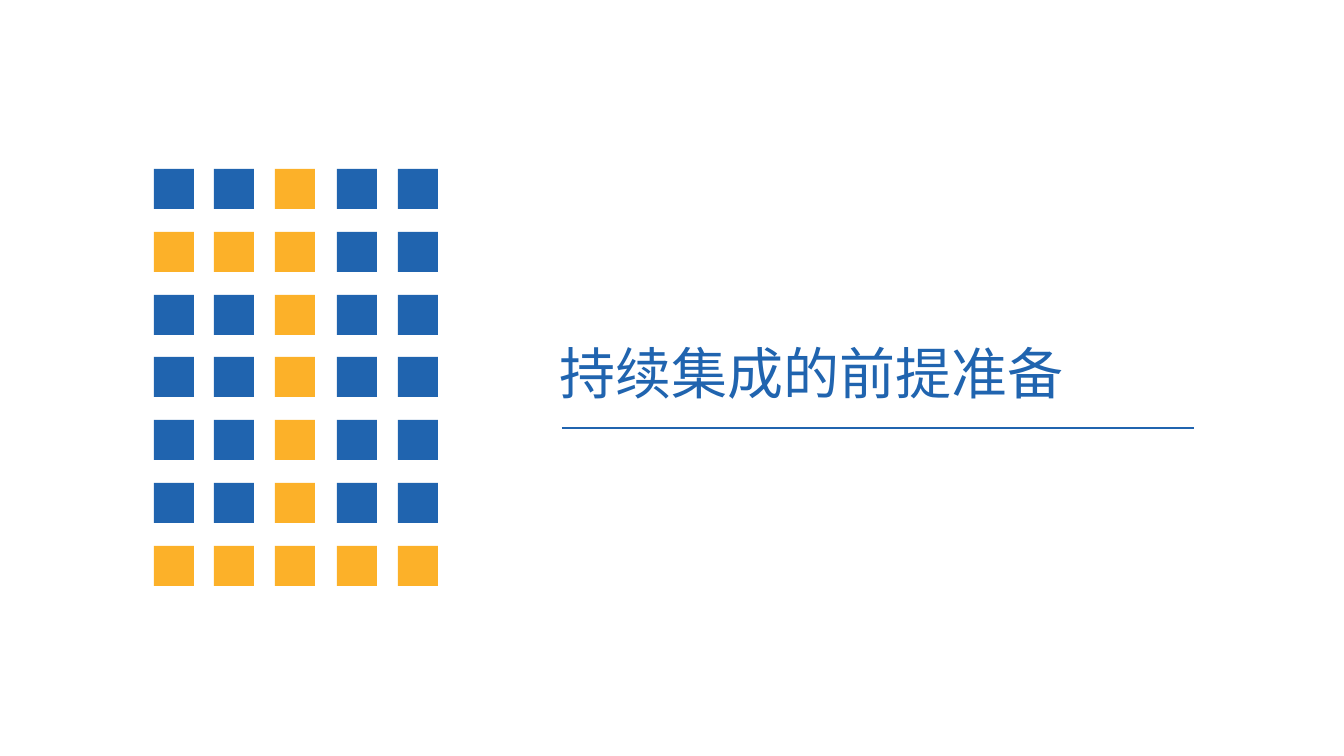
"""Section slide: a mosaic numeral 1 beside an underlined title."""
from lxml import etree
from pptx import Presentation
from pptx.dml.color import RGBColor
from pptx.enum.shapes import MSO_CONNECTOR, MSO_SHAPE
from pptx.enum.text import MSO_ANCHOR, PP_ALIGN
from pptx.oxml.ns import qn
from pptx.util import Emu, Pt

RECT = MSO_SHAPE.RECTANGLE
STRAIGHT = MSO_CONNECTOR.STRAIGHT
MIDDLE = MSO_ANCHOR.MIDDLE
LEFT = PP_ALIGN.LEFT

THEME = {
    "blue": RGBColor.from_string("2064AF"),
    "amber": RGBColor.from_string("FCB129"),
    "font": "Arial",
    "title": Pt(40),
    "rule": Pt(1),
}


def px(n):
    """Turn slide pixels into EMU."""
    return Emu(round(n * 914400 / 100.8))


prs = Presentation()
prs.slide_width, prs.slide_height = px(1344), px(756)
s = prs.slides.add_slide(prs.slide_layouts[6])

NUMERAL = ["..#..", "###..", "..#..", "..#..", "..#..", "..#..", "#####"]
COLUMNS = [154, 214, 275, 337, 398]
TOP, BOTTOM, TILE = 169, 546, 40

mosaic = s.shapes.add_group_shape()
for row, marks in enumerate(NUMERAL):
    y = TOP + round(row * (BOTTOM - TOP) / (len(NUMERAL) - 1))
    for x, mark in zip(COLUMNS, marks):
        sp = mosaic.shapes.add_shape(RECT, px(x), px(y), px(TILE), px(TILE))
        sp.shadow.inherit = False
        sp.fill.solid()
        sp.fill.fore_color.rgb = THEME["amber" if mark == "#" else "blue"]
        sp.line.fill.background()

tf = s.shapes.add_textbox(px(521), px(321), px(673), px(103)).text_frame
frame_format = {
    "word_wrap": True,
    "vertical_anchor": MIDDLE,
    "margin_left": px(39),
    "margin_top": 0,
    "margin_right": 0,
    "margin_bottom": 0,
}
for name, value in frame_format.items():
    setattr(tf, name, value)
p = tf.paragraphs[0]
p.alignment = LEFT
r = p.add_run()
r.text = "持续集成的前提准备"
for name, value in {"name": THEME["font"], "size": THEME["title"]}.items():
    setattr(r.font, name, value)
r.font.color.rgb = THEME["blue"]

rule = s.shapes.add_connector(STRAIGHT, px(562), px(428), px(1194), px(428))
rule.line.color.rgb = THEME["blue"]
rule.line.width = THEME["rule"]
etree.SubElement(rule._element.spPr, qn("a:effectLst"))

prs.save("out.pptx")
